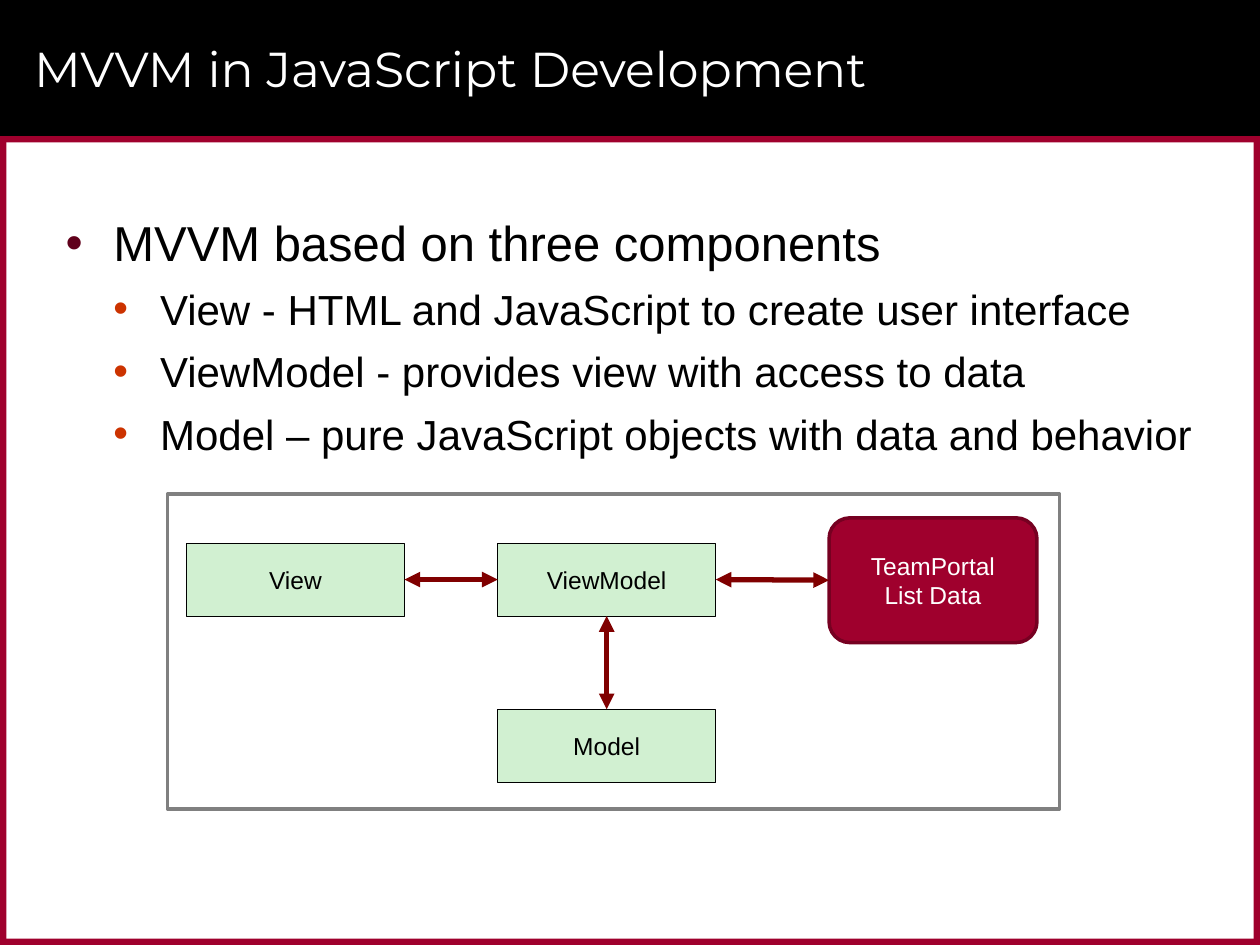
from dataclasses import dataclass

from lxml import etree
from pptx import Presentation
from pptx.dml.color import RGBColor
from pptx.enum.shapes import MSO_CONNECTOR, MSO_SHAPE
from pptx.enum.text import MSO_ANCHOR, MSO_AUTO_SIZE, PP_ALIGN
from pptx.oxml.ns import qn
from pptx.util import Inches, Pt

RECT, ROUNDED = MSO_SHAPE.RECTANGLE, MSO_SHAPE.ROUNDED_RECTANGLE
STRAIGHT = MSO_CONNECTOR.STRAIGHT
LEFT, CENTER = PP_ALIGN.LEFT, PP_ALIGN.CENTER
TOP, MIDDLE = MSO_ANCHOR.TOP, MSO_ANCHOR.MIDDLE
TOP_SITE, LEFT_SITE, BOTTOM_SITE, RIGHT_SITE = range(4)


@dataclass(frozen=True)
class Theme:
    black: str = "000000"
    white: str = "FFFFFF"
    crimson: str = "9F002D"
    crimson_dark: str = "760021"
    frame_gray: str = "808080"
    box_green: str = "D1F0D1"
    arrow: str = "800000"
    bullet_main: str = "60001B"
    bullet_sub: str = "CC3300"
    title_font: str = "Montserrat"
    body_font: str = "Arial"
    title_size: int = 28
    main_size: int = 28
    sub_size: int = 24
    label_size: int = 14


THEME = Theme()


def write(paragraph, text, *, size, color=THEME.black, font=THEME.body_font,
          align=CENTER, bullet=None, indent=0, hanging=0, before=0, after=0):
    """Fill a paragraph with text in the given format."""
    paragraph.alignment = align
    paragraph.space_before, paragraph.space_after = Pt(before), Pt(after)
    if bullet:
        props = paragraph._p.get_or_add_pPr()
        props.set("marL", str(Inches(indent)))
        props.set("indent", str(-Inches(hanging)))
        bullet_color = etree.SubElement(props, qn("a:buClr"))
        etree.SubElement(bullet_color, qn("a:srgbClr"), val=bullet)
        etree.SubElement(props, qn("a:buFont"), typeface=THEME.body_font)
        etree.SubElement(props, qn("a:buChar"), char="•")
    run = paragraph.add_run()
    run.text = text
    run.font.name, run.font.size = font, Pt(size)
    run.font.color.rgb = RGBColor.from_string(color)


def add_box(shapes, bounds, fill, line=None, width=0, kind=RECT):
    """Add a filled shape, outlined if a line colour is given."""
    box = shapes.add_shape(kind, *map(Inches, bounds))
    box.shadow.inherit = False
    box.fill.solid()
    box.fill.fore_color.rgb = RGBColor.from_string(fill)
    if line:
        box.line.color.rgb = RGBColor.from_string(line)
        box.line.width = Pt(width)
    else:
        box.line.fill.background()
    return box


prs = Presentation()
prs.slide_width, prs.slide_height = Inches(10), Inches(7.5)
slide = prs.slides.add_slide(prs.slide_layouts[1])
title, body = slide.placeholders

# Black header and crimson border
HEADER, EDGE = 1.08, 0.05
add_box(slide.shapes, (0, 0, 10, HEADER), THEME.black)
for bounds in (
    (0, HEADER, 10, EDGE),
    (0, 7.5 - EDGE, 10, EDGE),
    (10 - EDGE, HEADER, EDGE, 7.5 - HEADER),
    (0, HEADER, EDGE, 7.5 - HEADER),
):
    add_box(slide.shapes, bounds, THEME.crimson)

# Title and body stand in front of the header and border
for placeholder, bounds, anchor in (
    (title, (0.17, 0.08, 9.42, 0.92), MIDDLE),
    (body, (0.42, 1.58, 9.17, 5.67), TOP),
):
    slide.shapes._spTree.append(placeholder._element)
    (placeholder.left, placeholder.top,
     placeholder.width, placeholder.height) = map(Inches, bounds)
    frame = placeholder.text_frame
    frame.word_wrap = True
    frame.auto_size = MSO_AUTO_SIZE.NONE
    frame.vertical_anchor = anchor

write(title.text_frame.paragraphs[0], "MVVM in JavaScript Development",
      size=THEME.title_size, color=THEME.white, font=THEME.title_font, align=LEFT)

# Bulleted list
body.text_frame.margin_top = Inches(0.11)
write(body.text_frame.paragraphs[0], "MVVM based on three components",
      size=THEME.main_size, align=LEFT, bullet=THEME.bullet_main,
      indent=0.38, hanging=0.38, after=3)
for component in (
    "View - HTML and JavaScript to create user interface",
    "ViewModel - provides view with access to data",
    "Model – pure JavaScript objects with data and behavior",
):
    paragraph = body.text_frame.add_paragraph()
    paragraph.level = 1
    write(paragraph, component, size=THEME.sub_size, align=LEFT,
          bullet=THEME.bullet_sub, indent=0.75, hanging=0.37, before=3.5, after=3.5)

# Diagram frame
diagram = slide.shapes.add_group_shape().shapes
add_box(diagram, (1.33, 3.92, 7.08, 2.5), THEME.white, THEME.frame_gray, 2)

# Diagram boxes
BOX_W, BOX_H = 1.73, 0.58
nodes = {}
for label, left, top in (
    ("View", 1.48, 4.31),
    ("ViewModel", 3.95, 4.31),
    ("Model", 3.95, 5.63),
):
    nodes[label] = add_box(diagram, (left, top, BOX_W, BOX_H),
                           THEME.box_green, THEME.black, 0.5)
    nodes[label].text_frame.vertical_anchor = MIDDLE
    write(nodes[label].text_frame.paragraphs[0], label, size=THEME.label_size)

list_data = add_box(diagram, (6.58, 4.11, 1.65, 0.99),
                    THEME.crimson, THEME.crimson_dark, 2, ROUNDED)
frame = list_data.text_frame
frame.vertical_anchor = MIDDLE
for paragraph, text in (
    (frame.paragraphs[0], "TeamPortal"),
    (frame.add_paragraph(), "List Data"),
):
    write(paragraph, text, size=THEME.label_size, color=THEME.white)

# Two-way arrows between the boxes
for start, start_site, end, end_site in (
    (nodes["View"], RIGHT_SITE, nodes["ViewModel"], LEFT_SITE),
    (nodes["ViewModel"], BOTTOM_SITE, nodes["Model"], TOP_SITE),
    (nodes["ViewModel"], RIGHT_SITE, list_data, LEFT_SITE),
):
    arrow = diagram.add_connector(STRAIGHT, 0, 0, 0, 0)
    arrow.begin_connect(start, start_site)
    arrow.end_connect(end, end_site)
    arrow.line.color.rgb = RGBColor.from_string(THEME.arrow)
    arrow.line.width = Pt(3)
    line = arrow.line._get_or_add_ln()
    for end_tag in ("a:headEnd", "a:tailEnd"):
        etree.SubElement(line, qn(end_tag), type="triangle", w="med", len="med")
    etree.SubElement(arrow._element.spPr, qn("a:effectLst"))

prs.save("out.pptx")
